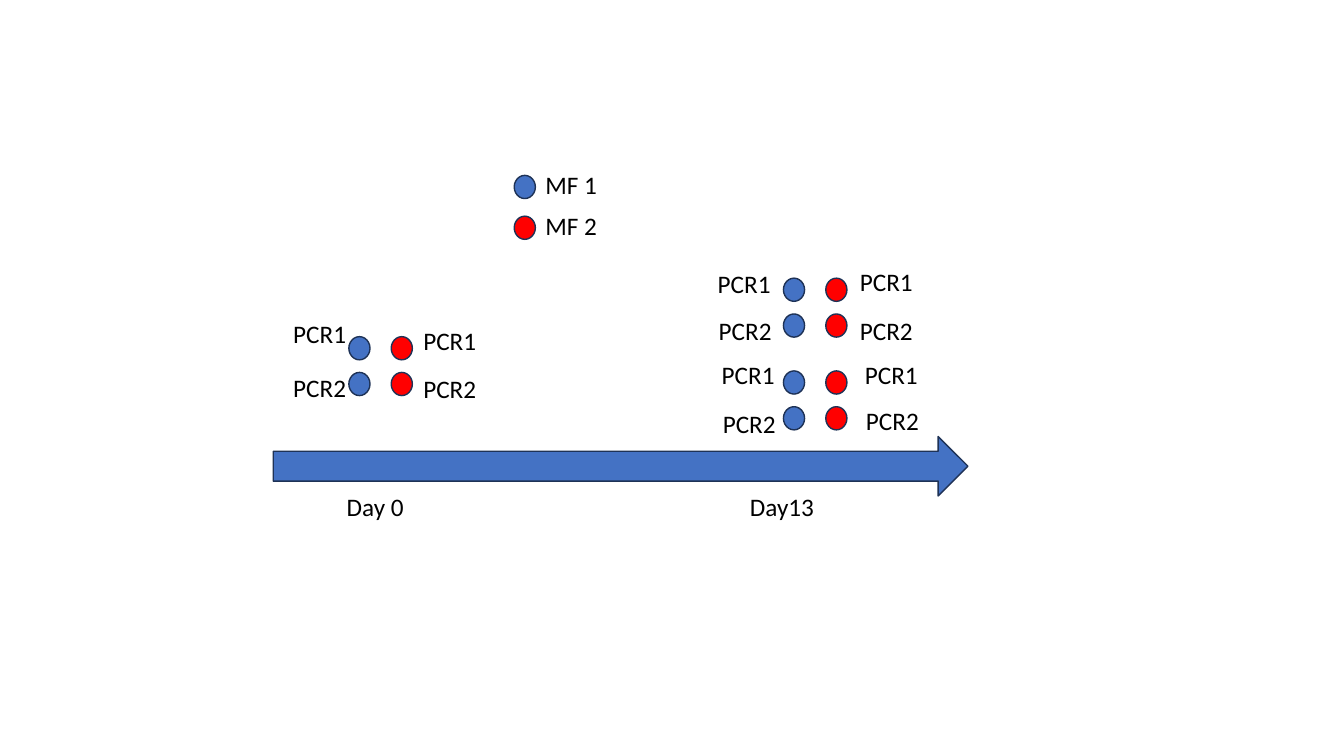
"""Sampling timeline with PCR replicates at day 0 and day 13."""
from pptx import Presentation
from pptx import util as u
from pptx.dml.color import RGBColor
from pptx.enum import shapes, text
from pptx.oxml.ns import qn
from lxml import etree

BLUE, RED, OUTLINE, BLACK = "4472C4", "FF0000", "1E3256", "000000"
DOT_W, DOT_H = 2.1, 2.3
COL_GAP, ROW_GAP = 4.2, 3.55
TEXT_H = 4
SERIES = [("MF 1", BLUE), ("MF 2", RED)]
CLUSTERS = [
    ((34.6, 33.4), [[(-6.5, -2.3), (-6.5, 3)], [(6.4, -1.6), (6.4, 3.1)]]),
    ((77.7, 27.6), [[(-7.5, -1.5), (-7.4, 3.2)], [(6.6, -1.7), (6.6, 3.2)]]),
    ((77.7, 36.8), [[(-7.1, -1.6), (-7, 3.2)], [(7.1, -1.6), (7.2, 2.9)]]),
]


def grid(n):
    """Length of n grid units, ten to the inch."""
    return u.Inches(n / 10)


def color(hex_code):
    """Colour from a hex string."""
    return RGBColor.from_string(hex_code)


def add_figure(s, kind, x, y, w, h, fill):
    """Filled preset shape with the dark outline."""
    sp = s.shapes.add_shape(kind, *map(grid, (x, y, w, h)))
    sp.shadow.inherit = False
    sp.fill.solid()
    sp.fill.fore_color.rgb = color(fill)
    sp.line.color.rgb = color(OUTLINE)
    sp.line.width = u.Pt(1)
    return sp


def add_dot(s, x, y, fill):
    """Sample dot."""
    return add_figure(s, shapes.MSO_SHAPE.OVAL, x, y, DOT_W, DOT_H, fill)


def add_label(s, x, y, w, words):
    """Black 18 pt label; returns its paragraph."""
    tf = s.shapes.add_textbox(*map(grid, (x, y, w, TEXT_H))).text_frame
    tf.word_wrap = True
    tf.auto_size = text.MSO_AUTO_SIZE.SHAPE_TO_FIT_TEXT
    p = tf.paragraphs[0]
    r = p.add_run()
    r.text = words
    r.font.name, r.font.size = "Calibri", u.Pt(18)
    r.font.color.rgb = color(BLACK)
    return p


def add_timeline(s, x, y, w, h):
    """Arrow with the two sampling days below it."""
    add_figure(s, shapes.MSO_SHAPE.RIGHT_ARROW, x, y, w, h, BLUE)
    p = add_label(s, x + 6.3, y + 5, 56.3, "Day 0\tDay13")
    tabs = etree.SubElement(p._p.get_or_add_pPr(), qn("a:tabLst"))
    etree.SubElement(tabs, qn("a:tab"), pos=str(grid(40)), algn="l")


def add_legend(s, x, y):
    """One dot and name for each series."""
    for row, (name, fill) in enumerate(SERIES):
        top = y + row * 4.05
        add_dot(s, x, top, fill)
        add_label(s, x + DOT_W, top - 1.05, 13.4, name)


def add_cluster(s, x, y, offsets):
    """Two by two dots, each with a PCR label at its offset from the corner."""
    for col, (_, fill) in enumerate(SERIES):
        for row, (dx, dy) in enumerate(offsets[col]):
            add_dot(s, x + col * COL_GAP, y + row * ROW_GAP, fill)
            add_label(s, x + dx, y + dy, 8.1, f"PCR{row + 1}")


def main():
    """Build and save the slide."""
    prs = Presentation()
    prs.slide_width, prs.slide_height = u.Inches(13.33), u.Inches(7.5)
    s = prs.slides.add_slide(prs.slide_layouts[6])
    add_timeline(s, 27.1, 43.3, 68.9, 5.9)
    add_legend(s, 51, 17.4)
    for (x, y), offsets in CLUSTERS:
        add_cluster(s, x, y, offsets)
    prs.save("out.pptx")


main()
